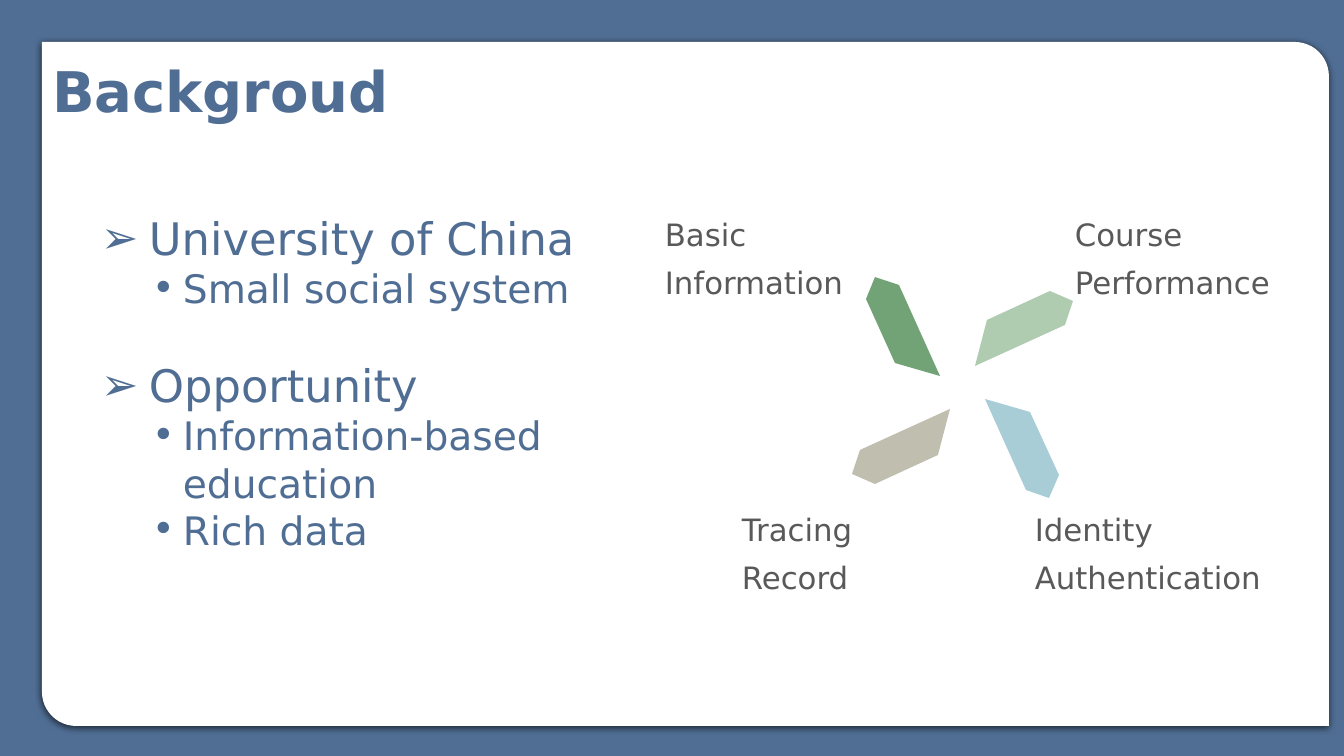
import pptx
import pptx.util
import pptx.oxml
import pptx.dml.color
import pptx.enum.shapes
import pptx.enum.text

FONT = "DejaVu Sans"
COLORS = {"blue": "506E94", "white": "FFFFFF", "gray": "595959", "green": "72A376",
          "mint": "B0CCB0", "sky": "A8CDD7", "sand": "C0BEAF"}
NS = 'xmlns:a="http://schemas.openxmlformats.org/drawingml/2006/main"'
PX = 914400 / 100.8


def px(*sizes):
    """Turn pixel lengths into a list of EMU lengths."""
    return [pptx.util.Emu(round(size * PX)) for size in sizes]


def style(font, size, color, bold=False):
    font.name, font.size, font.bold = FONT, pptx.util.Pt(size), bold
    font.color.rgb = pptx.dml.color.RGBColor.from_string(COLORS[color])


deck = pptx.Presentation()
deck.slide_width, deck.slide_height = px(1344, 756)
slide = deck.slides.add_slide(deck.slide_layouts[5])
shapes = slide.shapes
back = slide.background.fill
back.solid()
back.fore_color.rgb = pptx.dml.color.RGBColor.from_string(COLORS["blue"])

# White panel, behind the title
panel = shapes.add_shape(pptx.enum.shapes.MSO_SHAPE.ROUND_2_DIAG_RECTANGLE,
                         *px(42, 42, 1287, 684))
panel.adjustments[0], panel.adjustments[1] = 0, 0.05
panel.fill.solid()
panel.fill.fore_color.rgb = pptx.dml.color.RGBColor.from_string(COLORS["white"])
panel.line.fill.background()
panel.element.spPr.append(pptx.oxml.parse_xml(
    f'<a:effectLst {NS}><a:outerShdw blurRad="57150" dist="19050" dir="5400000" '
    'algn="ctr" rotWithShape="0"><a:srgbClr val="000000"><a:alpha val="63000"/>'
    '</a:srgbClr></a:outerShdw></a:effectLst>'))
shapes.element.insert(2, panel.element)

# Title
title = shapes.title
title.left, title.top, title.width, title.height = px(42, 51, 571, 78)
frame = title.text_frame
frame.text = "Backgroud"
frame.auto_size = pptx.enum.text.MSO_AUTO_SIZE.NONE
frame.vertical_anchor = pptx.enum.text.MSO_ANCHOR.TOP
frame.paragraphs[0].alignment = pptx.enum.text.PP_ALIGN.LEFT
style(frame.paragraphs[0].runs[0].font, 40, "blue", True)

# Bulleted list: level, text
points = [(0, "University of China"), (1, "Small social system"), (0, "Opportunity"),
          (1, "Information-based education"), (1, "Rich data")]
levels = [("➢", 48, 48, 32), ("•", 82, 31, 28)]
frame = shapes.add_textbox(*px(91, 206, 597, 356)).text_frame
frame.word_wrap = True
for i, (level, text) in enumerate(points):
    mark, margin, hang, size = levels[level]
    para = frame.add_paragraph() if i else frame.paragraphs[0]
    para.text = text
    para.level = level
    if i and level == 0:
        para.space_before = pptx.util.Pt(33)
    props = para._p.get_or_add_pPr()
    left, indent = px(margin, -hang)
    props.set("marL", str(left))
    props.set("indent", str(indent))
    props.append(pptx.oxml.parse_xml(f'<a:buFont {NS} typeface="{FONT}"/>'))
    props.append(pptx.oxml.parse_xml(f'<a:buChar {NS} char="{mark}"/>'))
    style(para.runs[0].font, size, "blue")

# Four blades around the centre
blades = [
    ("green", [(940, 376), (899, 285), (875, 277), (866, 299), (895, 363)]),
    ("mint", [(975, 366), (1065, 325), (1073, 301), (1050, 291), (987, 320)]),
    ("sky", [(985, 399), (1026, 490), (1049, 498), (1059, 475), (1030, 412)]),
    ("sand", [(950, 409), (860, 450), (852, 474), (875, 484), (938, 455)]),
]
for color, spots in blades:
    pen = shapes.build_freeform(*spots[0], scale=PX)
    pen.add_line_segments(spots[1:], close=True)
    blade = pen.convert_to_shape()
    blade.shadow.inherit = False
    blade.fill.solid()
    blade.fill.fore_color.rgb = pptx.dml.color.RGBColor.from_string(COLORS[color])
    blade.line.fill.background()

# Blade labels: text, left, top, width
labels = [("Course Performance", 1065, 211, 303), ("Identity Authentication", 1025, 506, 303),
          ("Basic Information", 655, 211, 204), ("Tracing Record", 732, 506, 208)]
for text, left, top, width in labels:
    frame = shapes.add_textbox(*px(left, top, width, 84)).text_frame
    frame.word_wrap = True
    frame.vertical_anchor = pptx.enum.text.MSO_ANCHOR.MIDDLE
    frame.text = text
    frame.paragraphs[0].line_spacing = 1.3
    style(frame.paragraphs[0].runs[0].font, 22, "gray")

deck.save("out.pptx")
